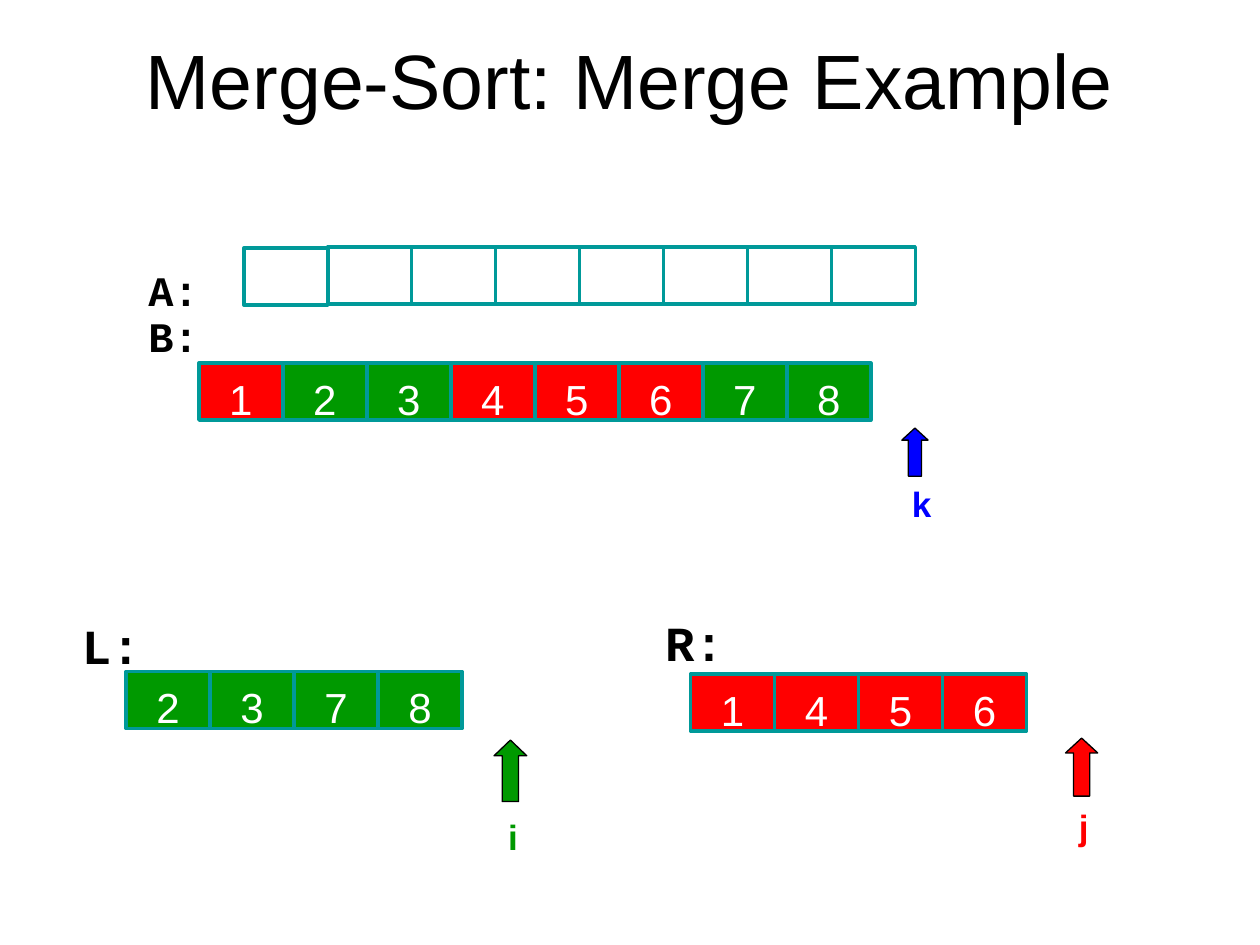
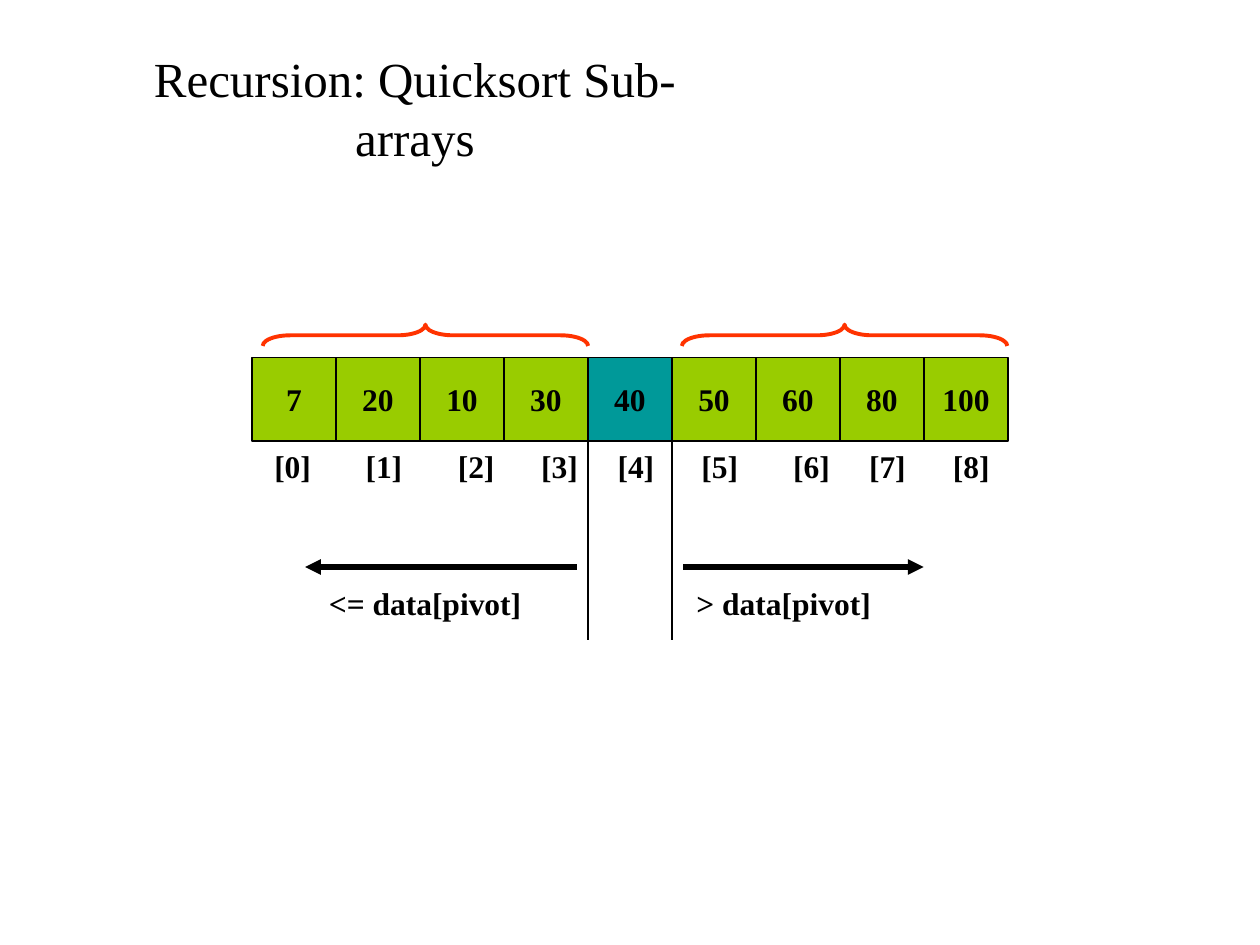
"""Build two slides on merging sorted arrays and on quicksort sub-arrays."""
import lxml.etree
import pptx
import pptx.dml.color
import pptx.enum.shapes
import pptx.enum.text
import pptx.oxml.ns
import pptx.util

Cm, Pt = pptx.util.Cm, pptx.util.Pt
SHAPE = pptx.enum.shapes.MSO_SHAPE
ANCHOR = pptx.enum.text.MSO_ANCHOR
ALIGN = pptx.enum.text.PP_ALIGN
qn = pptx.oxml.ns.qn

WIDTH, HEIGHT = 25.4, 19.05
CELL = WIDTH / 15
BLACK, WHITE, TEAL, GREEN, RED = "000000", "FFFFFF", "009999", "009900", "FF0000"
BLUE, LIME, ORANGE = "0000FF", "99CC00", "FF3300"

SERIF = dict(name="Times New Roman", size=18, bold=True, color=BLACK)
MONO = dict(name="Courier New", size=24, bold=True, color=BLACK)
DIGIT = dict(name="Arial", size=24, color=WHITE)
POINTER = dict(name="Arial", size=20, bold=True)

MERGE_TITLE = "Merge-Sort: Merge Example"
LEFT_RUN, RIGHT_RUN = ["2", "3", "7", "8"], ["1", "4", "5", "6"]
MERGE_ROWS = [
    (sorted(LEFT_RUN + RIGHT_RUN), 4.01, 7.32),
    (LEFT_RUN, 2.54, 13.54),
    (RIGHT_RUN, 13.92, 13.59),
    ([""] * 7, 6.6, 4.98),
    ([""], 4.92, 5.0),
]
MERGE_CELL_FILLS = {"": WHITE, **dict.fromkeys(LEFT_RUN, GREEN), **dict.fromkeys(RIGHT_RUN, RED)}
ROW_LABELS = [
    ("L:", 28, (1.65, 12.12, 1.4, 1.45), 0),
    ("R:", 28, (13.41, 12.07, 1.4, 1.45), 0),
    ("A:", 24, (2.74, 5.05, 1.75, 1.27), 0.25),
    ("B:", 24, (2.74, 5.97, 1.75, 1.27), 0.25),
]
POINTERS = [
    ("i", GREEN, (9.73, 16.23, 1.22, 1.12), (9.96, 14.92, 0.66, 1.24), 0.48),
    ("j", RED, (20.9, 16.03, 1.9, 1.12), (21.48, 14.88, 0.65, 1.17), 0.46),
    ("k", BLUE, (17.55, 9.53, 2.06, 1.12), (18.18, 8.63, 0.53, 0.97), 0.46),
]

QUICK_TITLE = "Recursion: Quicksort Sub-arrays"
DATA, PIVOT = [7, 20, 10, 30, 40, 50, 60, 80, 100], 4
DATA_LEFT, DATA_TOP = 5.08, 7.2
INDEX_TABS = [1.84, 3.7, 5.38, 6.92, 8.61, 10.46, 11.99, 13.68]
PARTS = [("<= data[pivot]", 6.38, 11.63, 6.15), ("> data[pivot]", 13.79, 13.77, 18.62)]
BRACE_LEFTS = [8.36, 16.81]


def rgb(color):
    return pptx.dml.color.RGBColor.from_string(color)


def write(sp, text, font, align=ALIGN.LEFT, anchor=ANCHOR.TOP, insets=(0.25, 0.13, 0.25, 0.13)):
    tf = sp.text_frame
    tf.word_wrap = True
    tf.vertical_anchor = anchor
    for side, inset in zip(("left", "top", "right", "bottom"), insets):
        setattr(tf, f"margin_{side}", Cm(inset))
    p = tf.paragraphs[0]
    p.alignment = align
    r = p.add_run()
    r.text = text
    for key, value in font.items():
        if key == "color":
            r.font.color.rgb = rgb(value)
        else:
            setattr(r.font, key, Pt(value) if key == "size" else value)
    return p


def add_text(s, box, text, font, **layout):
    return write(s.shapes.add_textbox(*map(Cm, box)), text, font, **layout)


def add_shape(s, kind, box, fill, line, weight):
    sp = s.shapes.add_shape(kind, *map(Cm, box))
    sp.shadow.inherit = False
    if fill:
        sp.fill.solid()
        sp.fill.fore_color.rgb = rgb(fill)
    else:
        sp.fill.background()
    sp.line.color.rgb = rgb(line)
    sp.line.width = Pt(weight)
    return sp


def add_line(s, x1, y1, x2, y2, weight, arrow=False):
    c = s.shapes.add_connector(pptx.enum.shapes.MSO_CONNECTOR.STRAIGHT, *map(Cm, (x1, y1, x2, y2)))
    c.line.color.rgb = rgb(BLACK)
    c.line.width = Pt(weight)
    if arrow:
        lxml.etree.SubElement(c.line._get_or_add_ln(), qn("a:tailEnd"), type="triangle")
    lxml.etree.SubElement(c._element.spPr, qn("a:effectLst"))


def build_merge(s):
    add_text(s, (1.9, 0, 21.59, 3.18), MERGE_TITLE, dict(name="Arial", size=44, color=BLACK),
             align=ALIGN.CENTER, anchor=ANCHOR.MIDDLE)
    for values, left, top in MERGE_ROWS:
        for i, value in enumerate(values):
            sp = add_shape(s, SHAPE.RECTANGLE, (left + i * CELL, top, CELL, 1.15),
                           MERGE_CELL_FILLS[value], TEAL, 2)
            if value:
                write(sp, value, DIGIT, align=ALIGN.CENTER, insets=(0.25, 0.2, 0.25, 0))
    for text, size, box, side in ROW_LABELS:
        add_text(s, box, text, {**MONO, "size": size}, insets=(side, 0.28, side, 0))
    for text, color, box, arrow, head in POINTERS:
        add_text(s, box, text, {**POINTER, "color": color}, align=ALIGN.CENTER,
                 insets=(0, 0.2, 0, 0))
        sp = add_shape(s, SHAPE.UP_ARROW, arrow, color, BLACK, 0.75)
        sp.adjustments[1] = head


def build_quicksort(s):
    add_text(s, (2.33, 1.9, 12.07, 1.7), QUICK_TITLE, {**SERIF, "size": 28, "bold": False},
             align=ALIGN.CENTER, anchor=ANCHOR.BOTTOM, insets=(0.25, 0.13, 0.25, 0.25))
    for i, value in enumerate(DATA):
        sp = add_shape(s, SHAPE.RECTANGLE, (DATA_LEFT + i * CELL, DATA_TOP, CELL, CELL),
                       TEAL if i == PIVOT else LIME, BLACK, 0.75)
        write(sp, str(value), SERIF, align=ALIGN.CENTER, anchor=ANCHOR.MIDDLE)

    p = add_text(s, (5.28, 8.89, 15.1, 1.02), "\t".join(f"[{i}]" for i in range(len(DATA))), SERIF)
    tabs = lxml.etree.SubElement(p._p.get_or_add_pPr(), qn("a:tabLst"))
    for pos in INDEX_TABS:
        lxml.etree.SubElement(tabs, qn("a:tab"), pos=str(Cm(pos)), algn="l")

    for edge in (PIVOT, PIVOT + 1):
        x = DATA_LEFT + edge * CELL
        add_line(s, x, DATA_TOP, x, 12.9, 0.75)
    for text, left, start, end in PARTS:
        add_line(s, start, 11.43, end, 11.43, 3, arrow=True)
        add_text(s, (left, 11.64, 4.6, 1.02), text, SERIF)
    for left in BRACE_LEFTS:
        sp = add_shape(s, SHAPE.LEFT_BRACE, (left, 3.48, 0.43, 6.56), None, ORANGE, 2.25)
        sp.adjustments[0] = 1.29
        sp.rotation = 90


def main():
    prs = pptx.Presentation()
    prs.slide_width, prs.slide_height = Cm(WIDTH), Cm(HEIGHT)
    for build in (build_merge, build_quicksort):
        build(prs.slides.add_slide(prs.slide_layouts[6]))
    prs.save("out.pptx")


if __name__ == "__main__":
    main()
